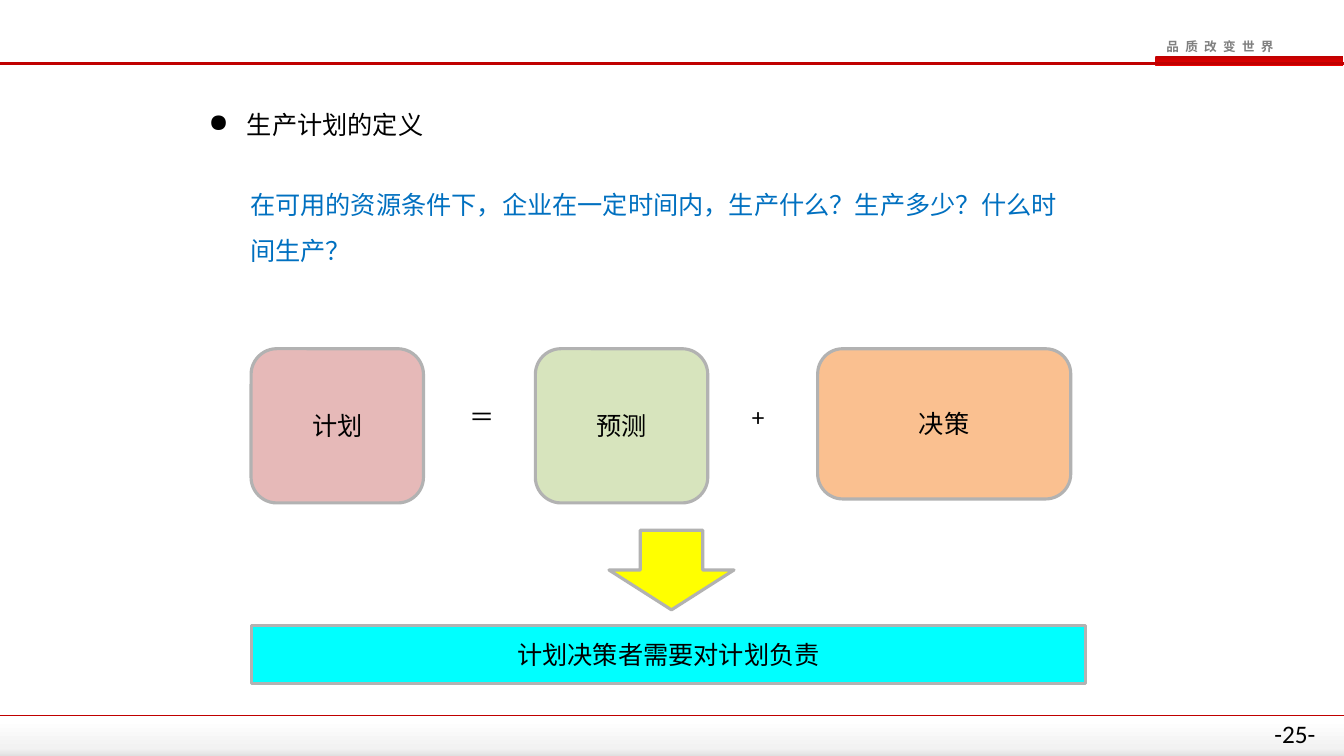
from dataclasses import dataclass

from lxml import etree
from pptx import Presentation
from pptx.dml.color import RGBColor
from pptx.enum import shapes, text
from pptx.oxml import ns
from pptx.util import Inches, Pt

KIND = shapes.MSO_SHAPE


@dataclass(frozen=True)
class Theme:
    black: str = "000000"
    grey: str = "808080"
    blue: str = "0070C0"
    red: str = "C00000"
    edge: str = "B2B2B2"
    pink: str = "E6B9B8"
    green: str = "D7E4BD"
    orange: str = "FAC090"
    cyan: str = "00FFFF"
    yellow: str = "FFFF00"
    bar: tuple = ((0, "C00000"), (100, "EE0000"))
    foot: tuple = ((0, "FFFFFF"), (75, "F2F2F2"), (100, "DCDCDC"))
    body: float = 18
    small: float = 9
    latin: str = "Calibri"
    plain: str = "Arial"
    asian: str = "Noto Sans CJK SC"


T = Theme()


def rgb(code):
    return RGBColor.from_string(code)


def add(node, tag, **attrs):
    return etree.SubElement(node, ns.qn(tag), attrs)


def write(frame, words, size=T.body, color=T.black, face=T.latin, bold=False):
    """Fill a frame with one styled paragraph and return it."""
    frame.text = words
    para = frame.paragraphs[0]
    font = para.runs[0].font
    font.size, font.bold, font.name = Pt(size), bold, face
    font.color.rgb = rgb(color)
    add(font._element, "a:ea", typeface=T.asian)
    return para


def label(slide, box, words, wrap=True, **style):
    frame = slide.shapes.add_textbox(*map(Inches, box)).text_frame
    frame.word_wrap = wrap
    return write(frame, words, **style), frame


def block(slide, kind, box, fill, words=""):
    """Outlined shape with centred words."""
    shape = slide.shapes.add_shape(kind, *map(Inches, box))
    shape.shadow.inherit = False
    shape.fill.solid()
    shape.fill.fore_color.rgb = rgb(fill)
    shape.line.color.rgb = rgb(T.edge)
    shape.line.width = Pt(2.25)
    if words:
        shape.text_frame.vertical_anchor = text.MSO_ANCHOR.MIDDLE
        write(shape.text_frame, words).alignment = text.PP_ALIGN.CENTER


def band(slide, box, stops):
    """Borderless strip shaded from top to bottom."""
    shape = slide.shapes.add_shape(KIND.RECTANGLE, *map(Inches, box))
    shape.shadow.inherit = False
    shape.line.fill.background()
    shape.fill.gradient()
    shape.fill.gradient_angle = 270
    holder = shape._element.spPr.find(".//" + ns.qn("a:gsLst"))
    for stop in list(holder):
        holder.remove(stop)
    for place, color in stops:
        stop = add(holder, "a:gs", pos=str(place * 1000))
        add(stop, "a:srgbClr", val=color)


def rule(slide, y, width):
    """Red line across the slide."""
    line = slide.shapes.add_connector(
        shapes.MSO_CONNECTOR.STRAIGHT,
        Inches(0), Inches(y), Inches(13.33), Inches(y))
    line.line.color.rgb = rgb(T.red)
    line.line.width = Pt(width)
    add(line._element.spPr, "a:effectLst")


def bullet(para, mark, indent):
    props = para._p.get_or_add_pPr()
    step = Inches(indent)
    props.set("marL", str(step))
    props.set("indent", str(-step))
    add(props, "a:buChar", char=mark)


def header(slide):
    band(slide, (11.46, 0.56, 1.86, 0.09), T.bar)
    motto, _ = label(slide, (11.47, 0.34, 1.36, 0.25), "品质改变世界",
                     wrap=False, size=T.small, color=T.grey,
                     face=T.asian, bold=True)
    motto.runs[0].font._element.set("spc", "450")
    rule(slide, 0.63, 1.5)


def footer(slide):
    band(slide, (0, 7.14, 13.33, 0.38), T.foot)
    rule(slide, 7.1, 1)
    label(slide, (12.54, 7.08, 0.79, 0.4), "-25-")


def main():
    deck = Presentation()
    deck.slide_width, deck.slide_height = Inches(13.33), Inches(7.5)
    slide = deck.slides.add_slide(deck.slide_layouts[6])
    header(slide)
    footer(slide)

    # Definition
    para, frame = label(
        slide, (2.42, 1.7, 8.21, 1.01),
        "在可用的资源条件下，企业在一定时间内，生产什么？生产多少？什么时间生产？",
        color=T.blue, face=T.plain)
    para.line_spacing = 1.5
    frame.margin_left = frame.margin_right = Inches(0.06)
    frame.margin_top = frame.margin_bottom = Inches(0.03)
    title, _ = label(slide, (1.97, 1.04, 9.07, 0.44), "生产计划的定义")
    bullet(title, "●", 0.38)

    # Equation: plan = forecast + decision
    for x, wide, high, fill, words in (
            (2.49, 1.71, 1.53, T.pink, "计划"),
            (5.31, 1.71, 1.53, T.green, "预测"),
            (8.11, 2.51, 1.49, T.orange, "决策")):
        block(slide, KIND.ROUNDED_RECTANGLE, (x, 3.46, wide, high), fill, words)
    for x, wide, sign in ((4.56, 0.49, "＝"), (7.36, 0.62, "+")):
        label(slide, (x, 3.93, wide, 0.44), sign)

    # Conclusion
    block(slide, KIND.RECTANGLE, (2.49, 6.21, 8.28, 0.57), T.cyan,
          "计划决策者需要对计划负责")
    block(slide, KIND.DOWN_ARROW, (6.04, 5.26, 1.24, 0.79), T.yellow)
    deck.save("out.pptx")


if __name__ == "__main__":
    main()
